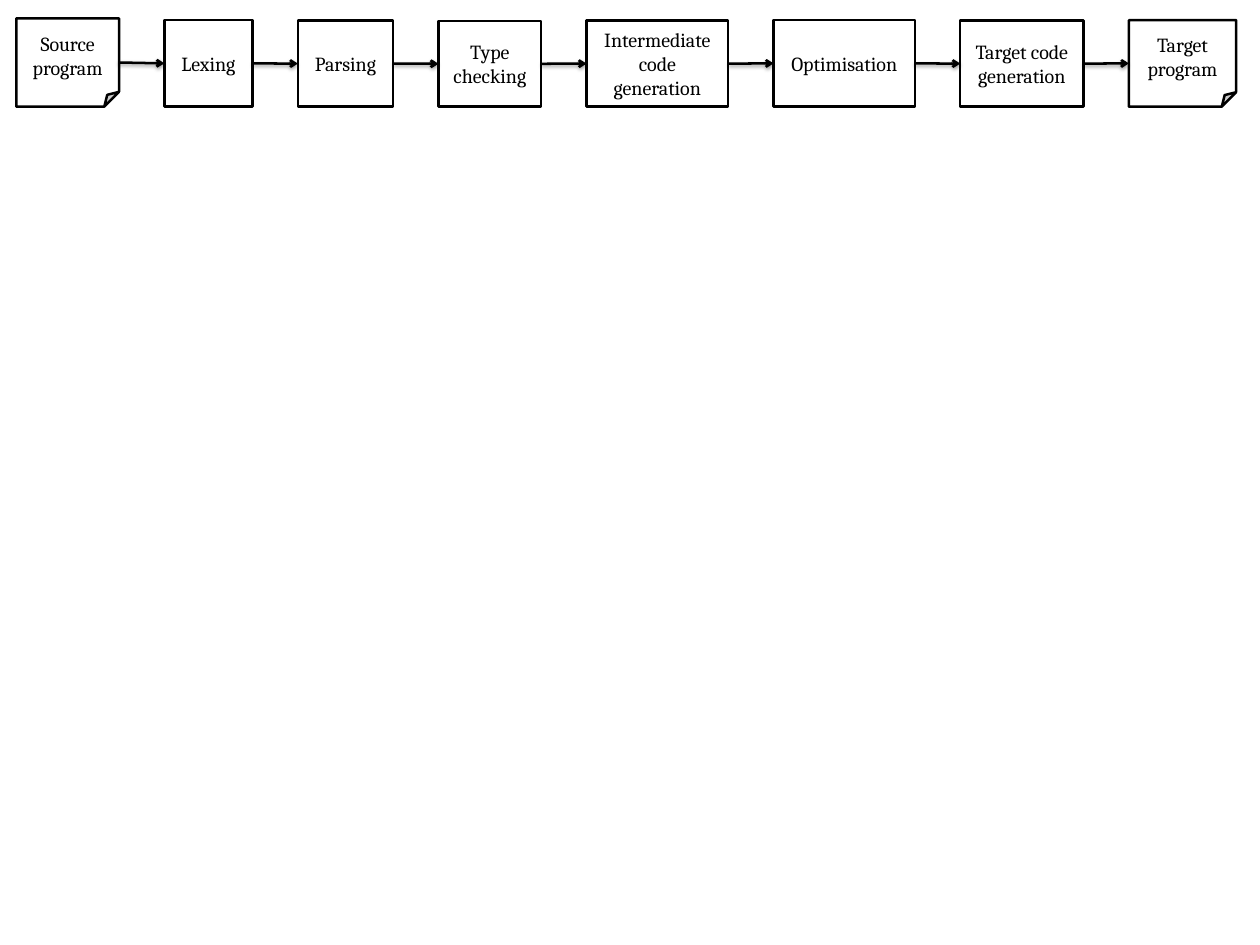
import itertools

import lxml.etree
import pptx
import pptx.dml.color
import pptx.enum.shapes
import pptx.enum.text
import pptx.oxml
import pptx.oxml.ns
import pptx.util

Cm = pptx.util.Cm
Pt = pptx.util.Pt
SHAPES = pptx.enum.shapes.MSO_SHAPE
COLORS = {"paper": "FFFFFF", "ink": "000000"}
LEFT_SITE, RIGHT_SITE = 1, 3
STAGES = [
    ("Source program", 2.9, -0.05, SHAPES.FOLDED_CORNER),
    ("Lexing", 2.49, 0, SHAPES.RECTANGLE),
    ("Parsing", 2.69, 0.01, SHAPES.RECTANGLE),
    ("Type checking", 2.9, 0.02, SHAPES.RECTANGLE),
    ("Intermediate code generation", 4, 0.01, SHAPES.RECTANGLE),
    ("Optimisation", 3.99, 0, SHAPES.RECTANGLE),
    ("Target code generation", 3.48, 0.01, SHAPES.RECTANGLE),
    ("Target program", 3.03, 0, SHAPES.FOLDED_CORNER),
]
SHADOW = (
    '<a:effectLst %s><a:outerShdw blurRad="%d" dist="%d" dir="5400000" rotWithShape="0">'
    '<a:srgbClr val="%s"><a:alpha val="38000"/></a:srgbClr></a:outerShdw></a:effectLst>'
    % (pptx.oxml.ns.nsdecls("a"), Pt(3.1), Pt(1.6), COLORS["ink"])
)


def color(name):
    return pptx.dml.color.RGBColor.from_string(COLORS[name])


def style_line(line):
    line.color.rgb = color("ink")
    line.width = Pt(2)


def add_stage(shapes, label, kind, left, top, width, height):
    shape = shapes.add_shape(kind, Cm(left), Cm(top), Cm(width), Cm(height))
    shape.element.remove(shape.element.find(pptx.oxml.ns.qn("p:style")))
    shape.shadow.inherit = False
    shape.fill.solid()
    shape.fill.fore_color.rgb = color("paper")
    style_line(shape.line)
    frame = shape.text_frame
    frame.word_wrap = True
    frame.vertical_anchor = pptx.enum.text.MSO_ANCHOR.MIDDLE
    frame.margin_left = frame.margin_right = Cm(0.33)
    frame.margin_top = frame.margin_bottom = Cm(0.18)
    paragraph = frame.paragraphs[0]
    paragraph.text = label
    paragraph.alignment = pptx.enum.text.PP_ALIGN.CENTER
    paragraph.font.name = "Cambria"
    paragraph.font.size = Pt(16)
    paragraph.font.color.rgb = color("ink")
    return shape


def add_arrow(shapes, start, end):
    arrow = shapes.add_connector(
        pptx.enum.shapes.MSO_CONNECTOR.STRAIGHT,
        start.left + start.width, start.top + start.height // 2,
        end.left, end.top + end.height // 2,
    )
    arrow.begin_connect(start, RIGHT_SITE)
    arrow.end_connect(end, LEFT_SITE)
    style_line(arrow.line)
    properties = arrow.element.spPr
    outline = properties.find(pptx.oxml.ns.qn("a:ln"))
    lxml.etree.SubElement(outline, pptx.oxml.ns.qn("a:tailEnd"), type="arrow")
    properties.append(pptx.oxml.parse_xml(SHADOW))


def add_pipeline(slide, left, top, width, height):
    group = slide.shapes.add_group_shape()
    gap = (width - sum(stage[1] for stage in STAGES)) / (len(STAGES) - 1)
    stages = []
    for label, stage_width, drop, kind in STAGES:
        stages.append(add_stage(group.shapes, label, kind, left, top + drop,
                                stage_width, height - drop))
        left += stage_width + gap
    for start, end in itertools.pairwise(stages):
        add_arrow(group.shapes, start, end)


presentation = pptx.Presentation()
presentation.slide_width = Cm(35.56)
presentation.slide_height = Cm(26.67)
slide = presentation.slides.add_slide(presentation.slide_layouts[6])
add_pipeline(slide, 0.46, 0.57, 34.43, 2.44)
presentation.save("out.pptx")
